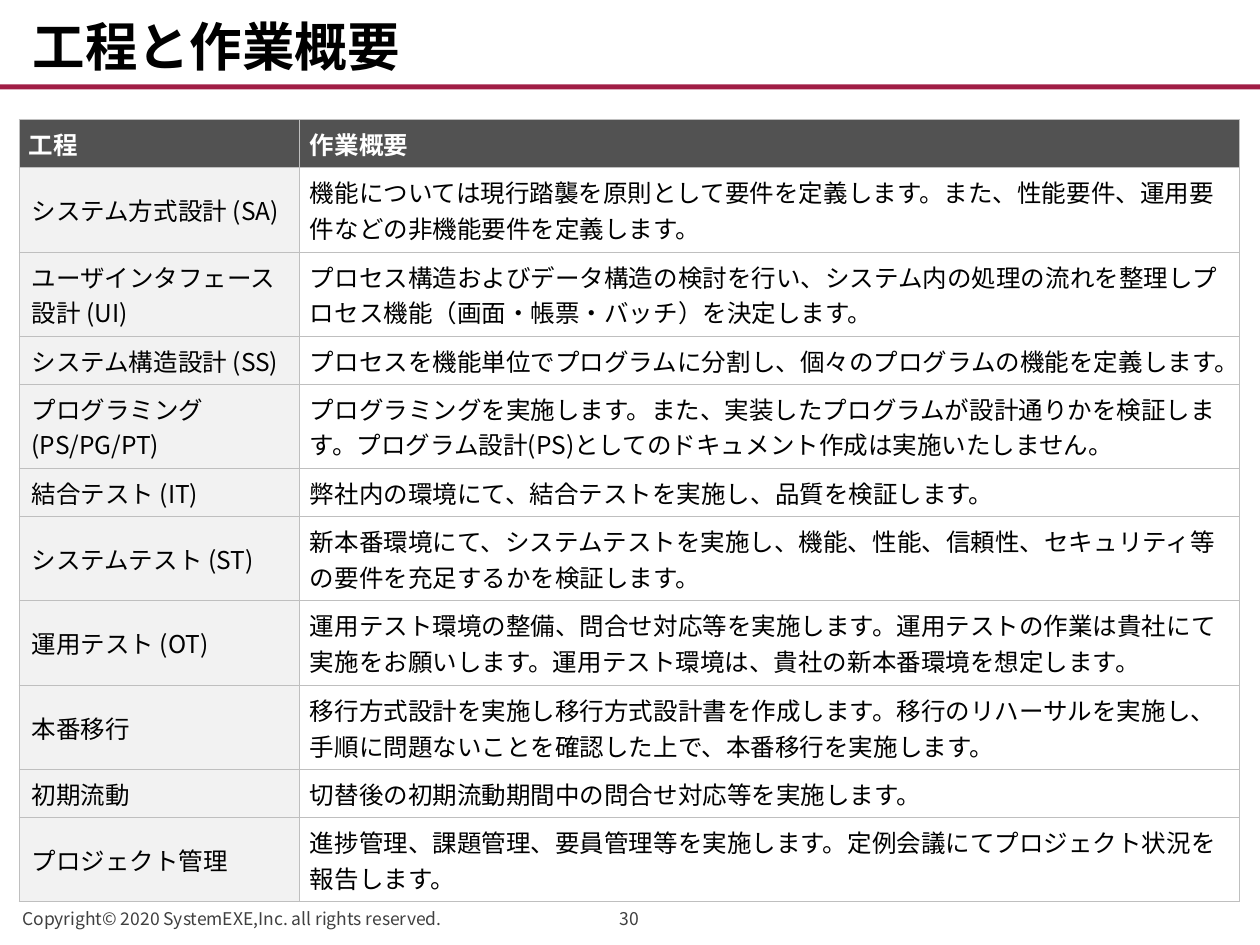
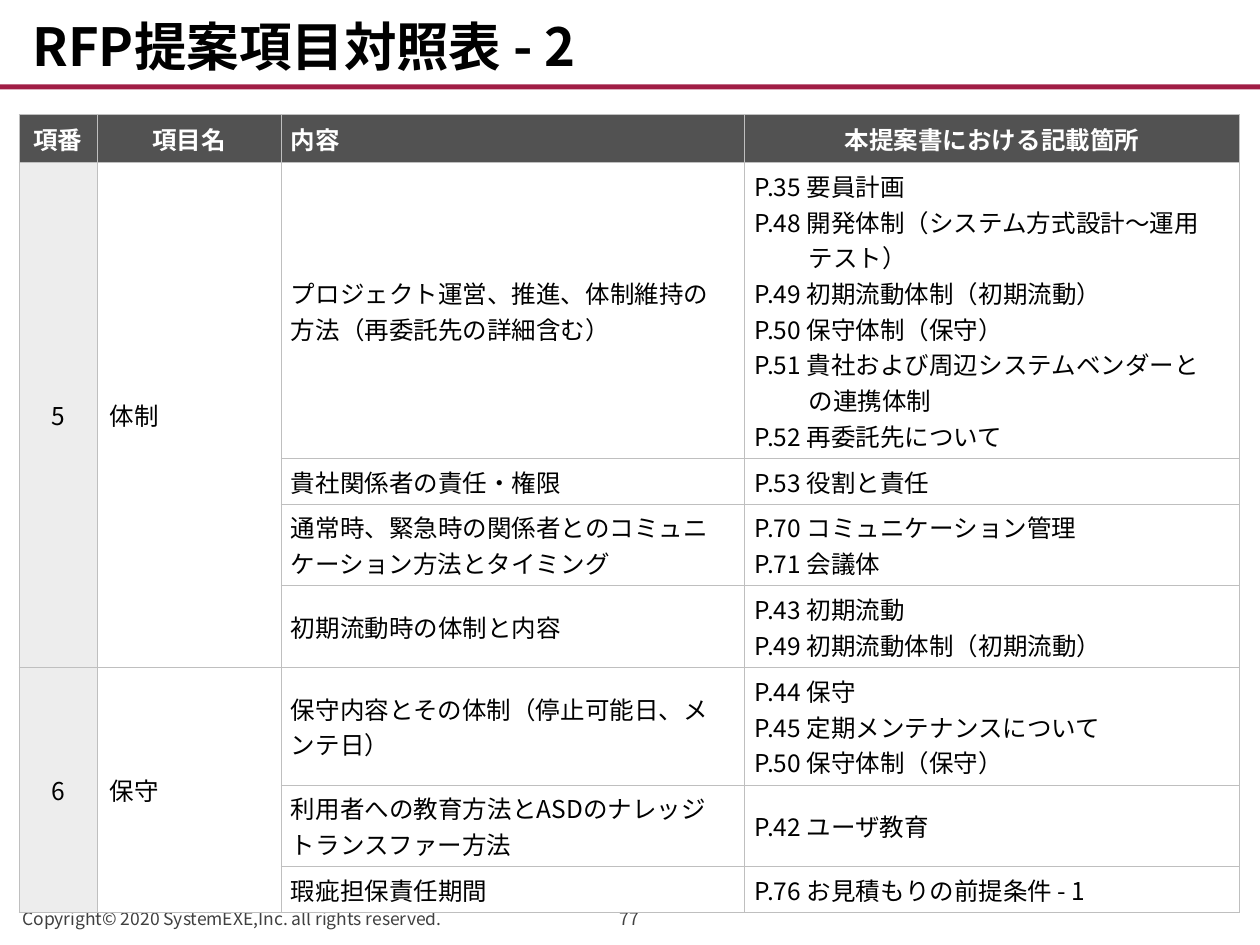
from dataclasses import dataclass

import lxml.etree
import pptx
import pptx.dml.color
import pptx.enum.lang
import pptx.enum.shapes
import pptx.enum.text
import pptx.oxml.ns
import pptx.util

Inches = pptx.util.Inches
Pt = pptx.util.Pt
qn = pptx.oxml.ns.qn
ALIGN = pptx.enum.text.PP_ALIGN
ANCHOR = pptx.enum.text.MSO_ANCHOR


@dataclass(frozen=True)
class Theme:
    font: str = "Noto Sans CJK JP"
    title_size: int = 30
    table_size: int = 14
    footer_size: int = 10
    text: str = "000000"
    footer: str = "404040"
    band: str = "A01D45"
    header: str = "525252"
    header_text: str = "FFFFFF"
    phase: str = "F2F2F2"
    number: str = "EDEDED"
    body: str = "FFFFFF"
    border: str = "BFBFBF"
    border_width: float = 0.5


@dataclass(frozen=True)
class CellStyle:
    fill: str
    margins: tuple
    color: str = Theme.text
    bold: bool = False
    align: ALIGN = ALIGN.LEFT
    hang: float = 0


THEME = Theme()
COPYRIGHT = "Copyright© 2020 SystemEXE,Inc. all rights reserved."
HEADER_HEIGHT = 0.38

HEADER_MARGINS = (0.08, 0.05, 0.08, 0.05)
ITEM_MARGINS = (0.1, 0.04, 0.1, 0.04)
DETAIL_MARGINS = (0.08, 0.04, 0.24, 0.04)

HEADER = CellStyle(THEME.header, HEADER_MARGINS, THEME.header_text, True)
HEADER_CENTER = CellStyle(THEME.header, HEADER_MARGINS, THEME.header_text, True, ALIGN.CENTER)
PHASE = CellStyle(THEME.phase, (0.1, 0.05, 0.1, 0.05))
SUMMARY = CellStyle(THEME.body, HEADER_MARGINS)
NUMBER = CellStyle(THEME.number, ITEM_MARGINS, align=ALIGN.CENTER)
ITEM = CellStyle(THEME.body, ITEM_MARGINS)
DETAIL = CellStyle(THEME.body, DETAIL_MARGINS)
REFERENCE = CellStyle(THEME.body, DETAIL_MARGINS, hang=0.43)

PHASES = [
    (0.67, "システム方式設計 (SA)",
     "機能については現行踏襲を原則として要件を定義します。また、性能要件、運用要件などの非機能要件を定義します。"),
    (0.67, "ユーザインタフェース設計 (UI)",
     "プロセス構造およびデータ構造の検討を行い、システム内の処理の流れを整理しプロセス機能（画面・帳票・バッチ）を決定します。"),
    (0.38, "システム構造設計 (SS)",
     "プロセスを機能単位でプログラムに分割し、個々のプログラムの機能を定義します。"),
    (0.67, "プログラミング (PS/PG/PT)",
     "プログラミングを実施します。また、実装したプログラムが設計通りかを検証します。プログラム設計(PS)としてのドキュメント作成は実施いたしません。"),
    (0.38, "結合テスト (IT)",
     "弊社内の環境にて、結合テストを実施し、品質を検証します。"),
    (0.67, "システムテスト (ST)",
     "新本番環境にて、システムテストを実施し、機能、性能、信頼性、セキュリティ等の要件を充足するかを検証します。"),
    (0.67, "運用テスト (OT)",
     "運用テスト環境の整備、問合せ対応等を実施します。運用テストの作業は貴社にて実施をお願いします。運用テスト環境は、貴社の新本番環境を想定します。"),
    (0.67, "本番移行",
     "移行方式設計を実施し移行方式設計書を作成します。移行のリハーサルを実施し、手順に問題ないことを確認した上で、本番移行を実施します。"),
    (0.38, "初期流動",
     "切替後の初期流動期間中の問合せ対応等を実施します。"),
    (0.67, "プロジェクト管理",
     "進捗管理、課題管理、要員管理等を実施します。定例会議にてプロジェクト状況を報告します。"),
]

PROPOSAL_ITEMS = [
    ("5", "体制", [
        (2.35, "プロジェクト運営、推進、体制維持の方法（再委託先の詳細含む）",
         ["P.35 要員計画",
          "P.48 開発体制（システム方式設計～運用テスト）",
          "P.49 初期流動体制（初期流動）",
          "P.50 保守体制（保守）",
          "P.51 貴社および周辺システムベンダーとの連携体制",
          "P.52 再委託先について"]),
        (0.36, "貴社関係者の責任・権限", ["P.53 役割と責任"]),
        (0.65, "通常時、緊急時の関係者とのコミュニケーション方法とタイミング",
         ["P.70 コミュニケーション管理", "P.71 会議体"]),
        (0.65, "初期流動時の体制と内容",
         ["P.43 初期流動", "P.49 初期流動体制（初期流動）"]),
    ]),
    ("6", "保守", [
        (0.93, "保守内容とその体制（停止可能日、メンテ日）",
         ["P.44 保守", "P.45 定期メンテナンスについて", "P.50 保守体制（保守）"]),
        (0.65, "利用者への教育方法とASDのナレッジトランスファー方法",
         ["P.42 ユーザ教育"]),
        (0.36, "瑕疵担保責任期間", ["P.76 お見積もりの前提条件 - 1"]),
    ]),
]


def rgb(color):
    return pptx.dml.color.RGBColor.from_string(color)


def add_run(p, text, size, color, bold=False):
    r = p.add_run()
    r.text = text
    r.font.name = THEME.font
    r.font.size = Pt(size)
    r.font.bold = bold
    r.font.color.rgb = rgb(color)
    r.font.language_id = pptx.enum.lang.MSO_LANGUAGE_ID.JAPANESE
    latin = r.font._element.find(qn("a:latin"))
    ea = latin.makeelement(qn("a:ea"), {"typeface": THEME.font})
    latin.addnext(ea)


def add_text(s, box, text, size, color, bold=False, align=ALIGN.LEFT, wrap=True):
    tf = s.shapes.add_textbox(*map(Inches, box)).text_frame
    tf.word_wrap = wrap
    tf.vertical_anchor = ANCHOR.BOTTOM
    p = tf.paragraphs[0]
    p.alignment = align
    add_run(p, text, size, color, bold)
    return p


def add_band(s):
    sp = s.shapes.add_shape(pptx.enum.shapes.MSO_SHAPE.RECTANGLE,
                            *map(Inches, (0, 0.67, 10, 0.04)))
    sp.shadow.inherit = False
    sp.fill.solid()
    sp.fill.fore_color.rgb = rgb(THEME.band)
    sp.line.fill.background()


def add_framed_slide(prs, title, number):
    s = prs.slides.add_slide(prs.slide_layouts[6])
    add_band(s)
    p = add_text(s, (0.16, 0.04, 9.69, 0.63), title, THEME.title_size,
                 THEME.text, bold=True, wrap=False)
    p.line_spacing = 0.9
    add_text(s, (0.08, 7.11, 4.25, 0.31), COPYRIGHT, THEME.footer_size, THEME.footer)
    add_text(s, (4.6, 7.11, 0.79, 0.31), number, THEME.footer_size,
             THEME.footer, align=ALIGN.CENTER)
    return s


def add_borders(cell):
    tcPr = cell._tc.get_or_add_tcPr()
    for side in ("lnL", "lnR", "lnT", "lnB"):
        ln = lxml.etree.SubElement(tcPr, qn(f"a:{side}"), w=str(Pt(THEME.border_width)))
        fill = lxml.etree.SubElement(ln, qn("a:solidFill"))
        lxml.etree.SubElement(fill, qn("a:srgbClr"), val=THEME.border)


def fill_cell(cell, lines, style):
    cell.fill.solid()
    cell.fill.fore_color.rgb = rgb(style.fill)
    cell.vertical_anchor = ANCHOR.MIDDLE
    (cell.margin_left, cell.margin_top,
     cell.margin_right, cell.margin_bottom) = map(Inches, style.margins)
    tf = cell.text_frame
    for i, line in enumerate(lines):
        p = tf.add_paragraph() if i else tf.paragraphs[0]
        p.alignment = style.align
        if style.hang:
            pPr = p._p.get_or_add_pPr()
            pPr.set("marL", str(Inches(style.hang)))
            pPr.set("indent", str(-Inches(style.hang)))
        add_run(p, line, THEME.table_size, style.color, style.bold)


def add_grid(s, top, widths, heights):
    box = (0.15, top, sum(widths), sum(heights))
    table = s.shapes.add_table(len(heights), len(widths), *map(Inches, box)).table
    table.horz_banding = False
    for column, width in zip(table.columns, widths):
        column.width = Inches(width)
    for row, height in zip(table.rows, heights):
        row.height = Inches(height)
    for cell in table.iter_cells():
        add_borders(cell)
    return table


def fill_header(table, headings):
    for col, (text, style) in enumerate(headings):
        fill_cell(table.cell(0, col), [text], style)


def add_phase_slide(prs):
    s = add_framed_slide(prs, "工程と作業概要", "30")
    heights = [HEADER_HEIGHT] + [height for height, _, _ in PHASES]
    table = add_grid(s, 0.95, [2.23, 7.46], heights)
    fill_header(table, [("工程", HEADER), ("作業概要", HEADER)])
    for row, (_, phase, summary) in enumerate(PHASES, 1):
        fill_cell(table.cell(row, 0), [phase], PHASE)
        fill_cell(table.cell(row, 1), [summary], SUMMARY)


def add_proposal_slide(prs):
    s = add_framed_slide(prs, "RFP提案項目対照表 - 2", "77")
    heights = [HEADER_HEIGHT] + [detail[0] for _, _, details in PROPOSAL_ITEMS
                                 for detail in details]
    table = add_grid(s, 0.91, [0.62, 1.46, 3.68, 3.93], heights)
    fill_header(table, [("項番", HEADER_CENTER), ("項目名", HEADER_CENTER),
                        ("内容", HEADER), ("本提案書における記載箇所", HEADER_CENTER)])
    row = 1
    for number, item, details in PROPOSAL_ITEMS:
        last = row + len(details) - 1
        for col, (text, style) in enumerate([(number, NUMBER), (item, ITEM)]):
            table.cell(row, col).merge(table.cell(last, col))
            fill_cell(table.cell(row, col), [text], style)
        for row, (_, content, references) in enumerate(details, row):
            fill_cell(table.cell(row, 2), [content], DETAIL)
            fill_cell(table.cell(row, 3), references, REFERENCE)
        row = last + 1


def main():
    prs = pptx.Presentation()
    prs.slide_width = Inches(10)
    prs.slide_height = Inches(7.5)
    add_phase_slide(prs)
    add_proposal_slide(prs)
    prs.save("out.pptx")


if __name__ == "__main__":
    main()
